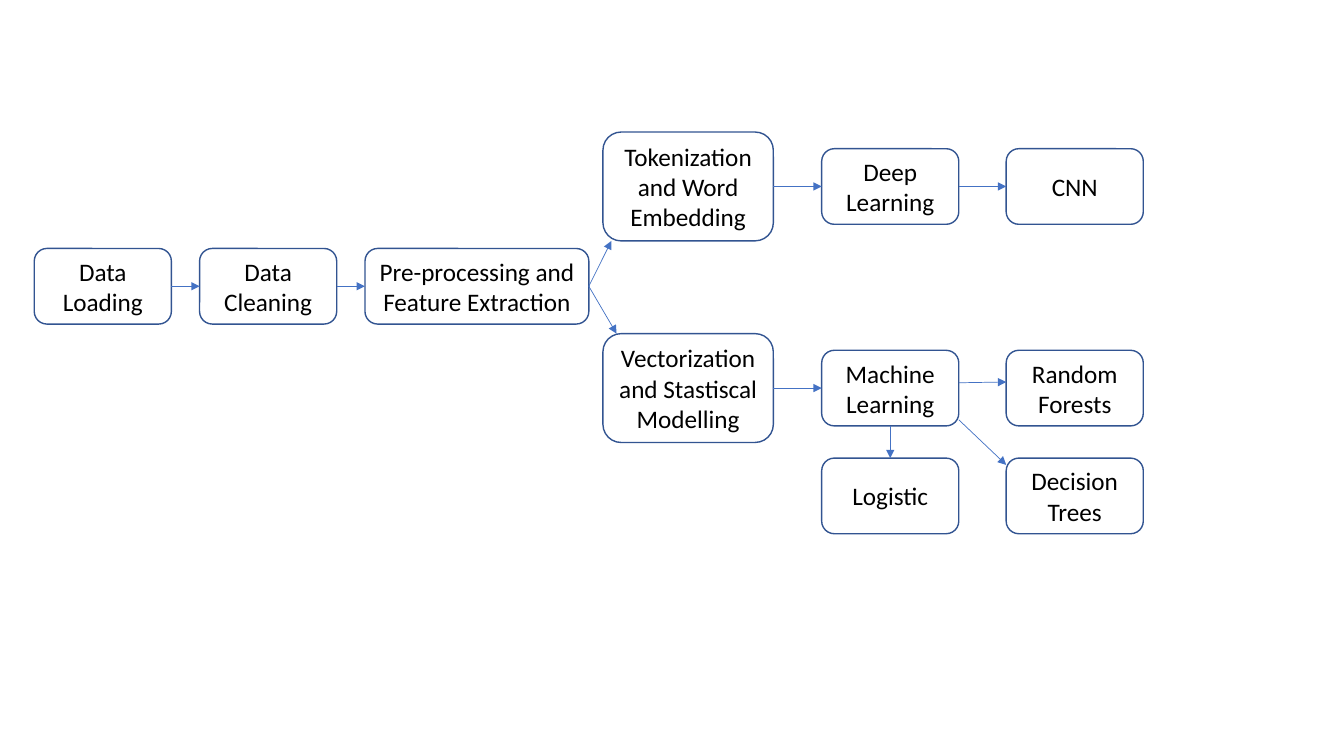
from lxml.etree import SubElement
from pptx import Presentation
from pptx.dml.color import RGBColor
from pptx.enum.shapes import MSO_CONNECTOR, MSO_SHAPE
from pptx.enum.text import MSO_ANCHOR, PP_ALIGN
from pptx.oxml.ns import qn
from pptx.util import Inches, Pt

# Content: name, text, column, row
STEPS = [
    ("loading", "Data Loading", "load", "main"),
    ("cleaning", "Data Cleaning", "clean", "main"),
    ("features", "Pre-processing and\nFeature Extraction", "prepare", "main"),
    ("tokens", "Tokenization and Word Embedding", "encode", "deep"),
    ("vectors", "Vectorization\nand Stastiscal Modelling", "encode", "machine"),
    ("deep", "Deep Learning", "learn", "deep"),
    ("machine", "Machine Learning", "learn", "machine"),
    ("cnn", "CNN", "model", "deep"),
    ("forests", "Random Forests", "model", "machine"),
    ("logistic", "Logistic", "learn", "extra"),
    ("trees", "Decision Trees", "model", "extra"),
]

# Grid in inches: column = left, width, height; row = centre
COLUMNS = {
    "load": (0.34, 1.36, 0.75),
    "clean": (1.98, 1.36, 0.75),
    "prepare": (3.62, 2.22, 0.75),
    "encode": (5.98, 1.69, 1.08),
    "learn": (8.15, 1.36, 0.75),
    "model": (9.98, 1.36, 0.75),
}
ROWS = {"deep": 1.85, "main": 2.84, "machine": 3.85, "extra": 4.92}

# Arrow ends: a side number, or a point as shares of the box
TOP, LEFT, BOTTOM, RIGHT = range(4)
SIDES = [(0.5, 0), (0, 0.5), (0.5, 1), (1, 0.5)]
ARROWS = [
    ("loading", RIGHT, "cleaning", LEFT),
    ("cleaning", RIGHT, "features", LEFT),
    ("features", RIGHT, "tokens", (0.05, 1)),
    ("features", RIGHT, "vectors", (0.08, 0)),
    ("tokens", RIGHT, "deep", LEFT),
    ("deep", RIGHT, "cnn", LEFT),
    ("vectors", RIGHT, "machine", LEFT),
    ("machine", (1, 0.43), "forests", (0, 0.42)),
    ("machine", BOTTOM, "logistic", TOP),
    ("machine", (1, 0.92), "trees", (0, 0.09)),
]


def color(value):
    return RGBColor.from_string(value)


def write(sp, text, size=18, font="Calibri", ink="000000"):
    tf = sp.text_frame
    tf.word_wrap = True
    tf.vertical_anchor = MSO_ANCHOR.MIDDLE
    tf.text = text
    for p in tf.paragraphs:
        p.alignment = PP_ALIGN.CENTER
        for r in p.runs:
            r.font.size, r.font.name = Pt(size), font
            r.font.color.rgb = color(ink)


def add_step(s, text, column, row):
    left, width, height = COLUMNS[column]
    top = ROWS[row] - height / 2
    sp = s.shapes.add_shape(MSO_SHAPE.ROUNDED_RECTANGLE,
                            *map(Inches, (left, top, width, height)))
    sp.shadow.inherit = False
    sp.fill.solid()
    sp.fill.fore_color.rgb = color("FFFFFF")
    sp.line.color.rgb = color("325491")
    sp.line.width = Pt(1)
    write(sp, text)
    return sp


def point(sp, end):
    x, y = SIDES[end] if isinstance(end, int) else end
    return int(sp.left + x * sp.width), int(sp.top + y * sp.height)


def add_arrow(s, source, start, target, stop):
    line = s.shapes.add_connector(MSO_CONNECTOR.STRAIGHT,
                                  *point(source, start), *point(target, stop))
    if isinstance(start, int):
        line.begin_connect(source, start)
    if isinstance(stop, int):
        line.end_connect(target, stop)
    line.line.color.rgb = color("4472C4")
    line.line.width = Pt(0.5)
    SubElement(line.line._get_or_add_ln(), qn("a:tailEnd"), type="triangle")
    SubElement(line._element.spPr, qn("a:effectLst"))


prs = Presentation()
prs.slide_width, prs.slide_height = Inches(13.33), Inches(7.5)
s = prs.slides.add_slide(prs.slide_layouts[6])

# Boxes, then the arrows between them
boxes = {name: add_step(s, *step) for name, *step in STEPS}
for source, start, target, stop in ARROWS:
    add_arrow(s, boxes[source], start, boxes[target], stop)

prs.save("out.pptx")
